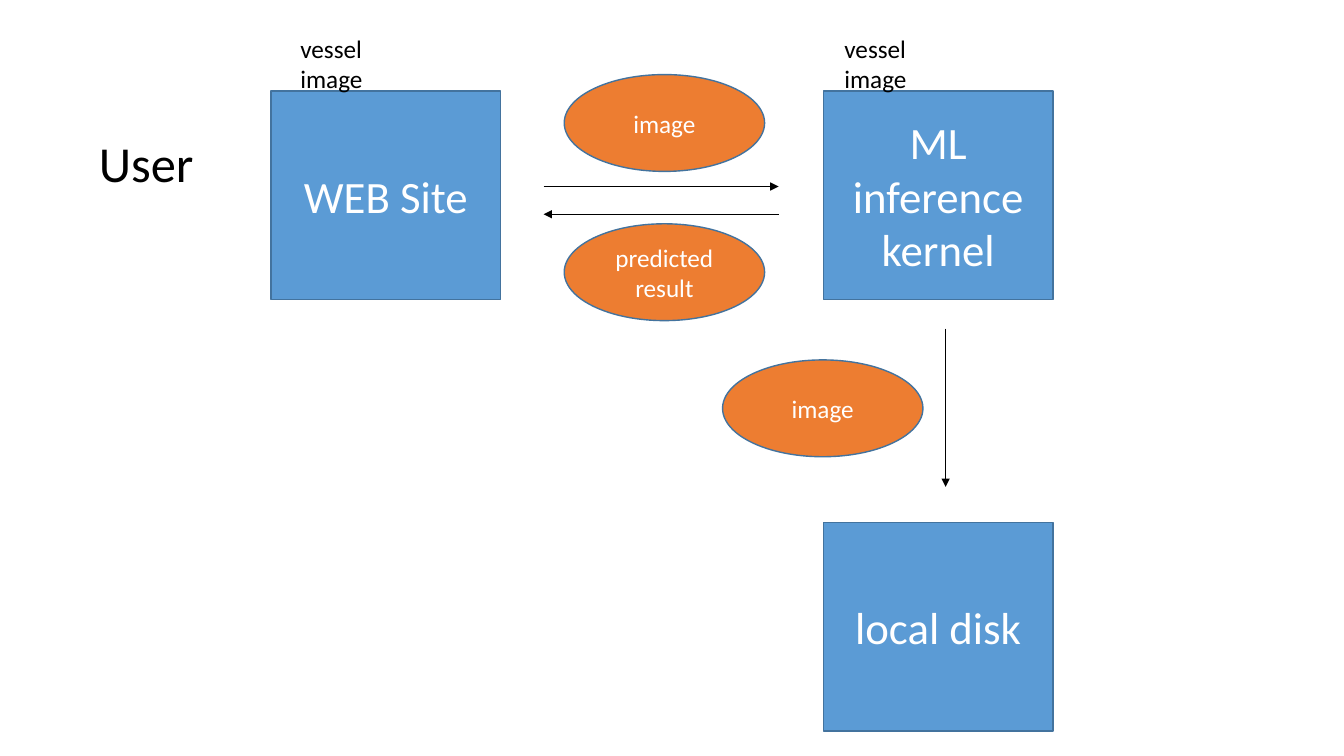
from lxml import etree
from pptx import Presentation
from pptx.dml.color import RGBColor
from pptx.enum.shapes import MSO_CONNECTOR, MSO_SHAPE
from pptx.enum.text import MSO_ANCHOR, PP_ALIGN
from pptx.oxml.ns import qn
from pptx.util import Cm, Pt

BLUE = RGBColor(0x5B, 0x9B, 0xD5)
ORANGE = RGBColor(0xED, 0x7D, 0x31)
OUTLINE = RGBColor(0x43, 0x73, 0x9E)
WHITE = RGBColor(0xFF, 0xFF, 0xFF)
BLACK = RGBColor(0x00, 0x00, 0x00)

prs = Presentation()
prs.slide_width, prs.slide_height = Cm(33.87), Cm(19.05)
slide = prs.slides.add_slide(prs.slide_layouts[6])


def write(shape, text, size, color, align):
    frame = shape.text_frame
    frame.word_wrap = True
    frame.text = text
    for paragraph in frame.paragraphs:
        paragraph.alignment = align
        paragraph.font.name = "Calibri"
        paragraph.font.size = Pt(size)
        paragraph.font.color.rgb = color


def add_node(kind, left, top, width, height, fill, text, size):
    node = slide.shapes.add_shape(kind, Cm(left), Cm(top), Cm(width), Cm(height))
    node.shadow.inherit = False
    node.fill.solid()
    node.fill.fore_color.rgb = fill
    node.line.color.rgb = OUTLINE
    node.line.width = Pt(1)
    node.text_frame.vertical_anchor = MSO_ANCHOR.MIDDLE
    write(node, text, size, WHITE, PP_ALIGN.CENTER)


# System components
WEB_X, KERNEL_X = 6.83, 20.75
SERVICE_Y, DISK_Y = 2.29, 13.16
for left, top, text in [
    (KERNEL_X, SERVICE_Y, "ML inference\nkernel"),
    (WEB_X, SERVICE_Y, "WEB Site"),
    (KERNEL_X, DISK_Y, "local disk"),
]:
    add_node(MSO_SHAPE.RECTANGLE, left, top, 5.79, 5.26, BLUE, text, 32)

# Data passed between components
for left, top, text in [
    (14.22, 1.88, "image"),
    (14.22, 5.64, "predicted result"),
    (18.21, 9.07, "image"),
]:
    add_node(MSO_SHAPE.OVAL, left, top, 5.05, 2.44, ORANGE, text, 18)

# User and deployment labels
for left, top, width, text, size in [
    (7.32, 0.71, 2.62, "vessel image", 18),
    (21.03, 0.71, 2.62, "vessel image", 18),
    (2.24, 3.2, 3.15, "User", 36),
]:
    label = slide.shapes.add_textbox(Cm(left), Cm(top), Cm(width), Cm(1.8))
    write(label, text, size, BLACK, PP_ALIGN.LEFT)

# Arrows: request, response, storage
for x1, y1, x2, y2 in [
    (13.7, 4.7, 19.62, 4.7),
    (19.62, 5.4, 13.7, 5.4),
    (23.83, 8.28, 23.83, 12.27),
]:
    arrow = slide.shapes.add_connector(
        MSO_CONNECTOR.STRAIGHT, Cm(x1), Cm(y1), Cm(x2), Cm(y2))
    arrow.line.color.rgb = BLACK
    arrow.line.width = Pt(0.5)
    etree.SubElement(arrow.line._get_or_add_ln(), qn("a:tailEnd"), type="triangle")
    etree.SubElement(arrow._element.spPr, qn("a:effectLst"))

prs.save("out.pptx")
